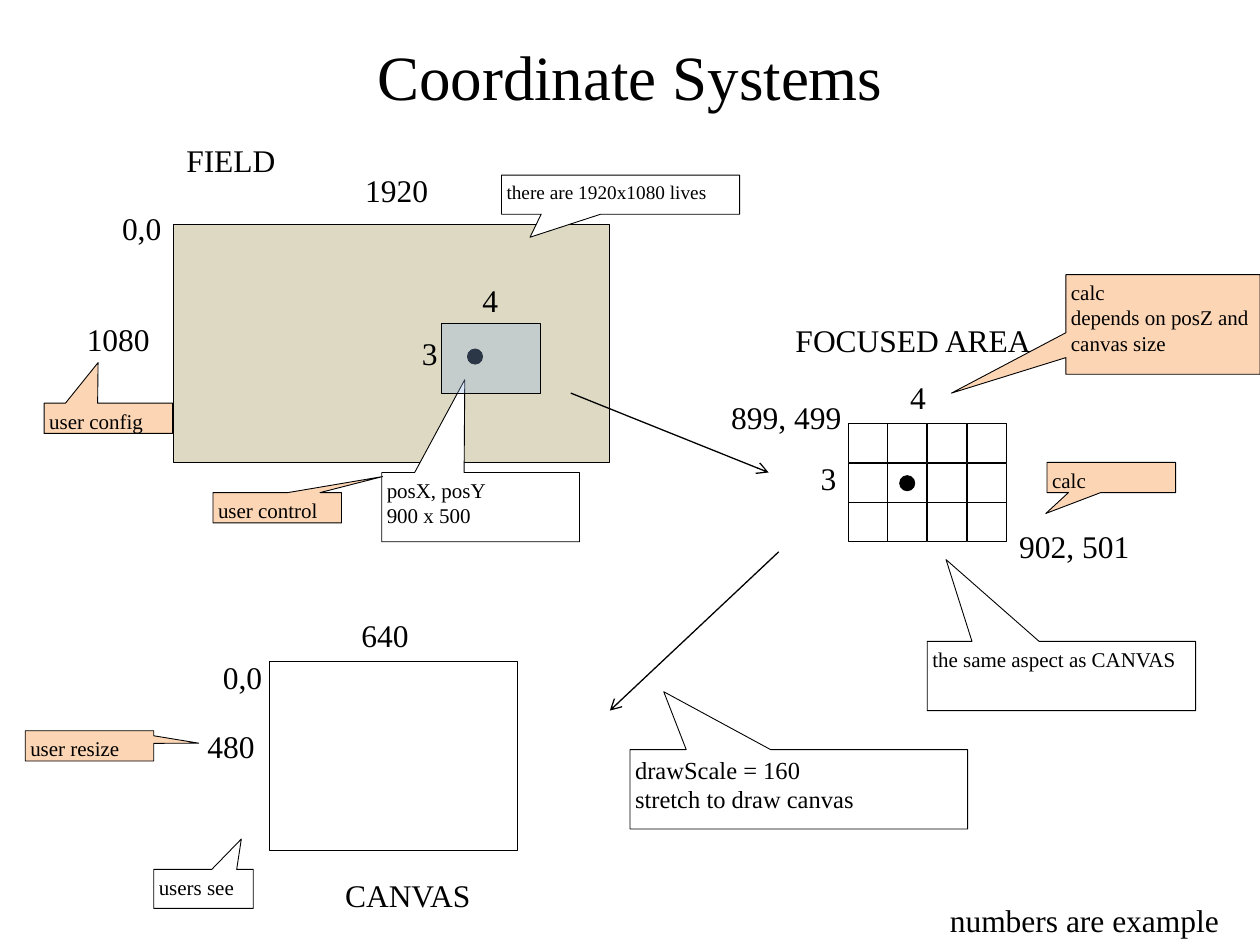
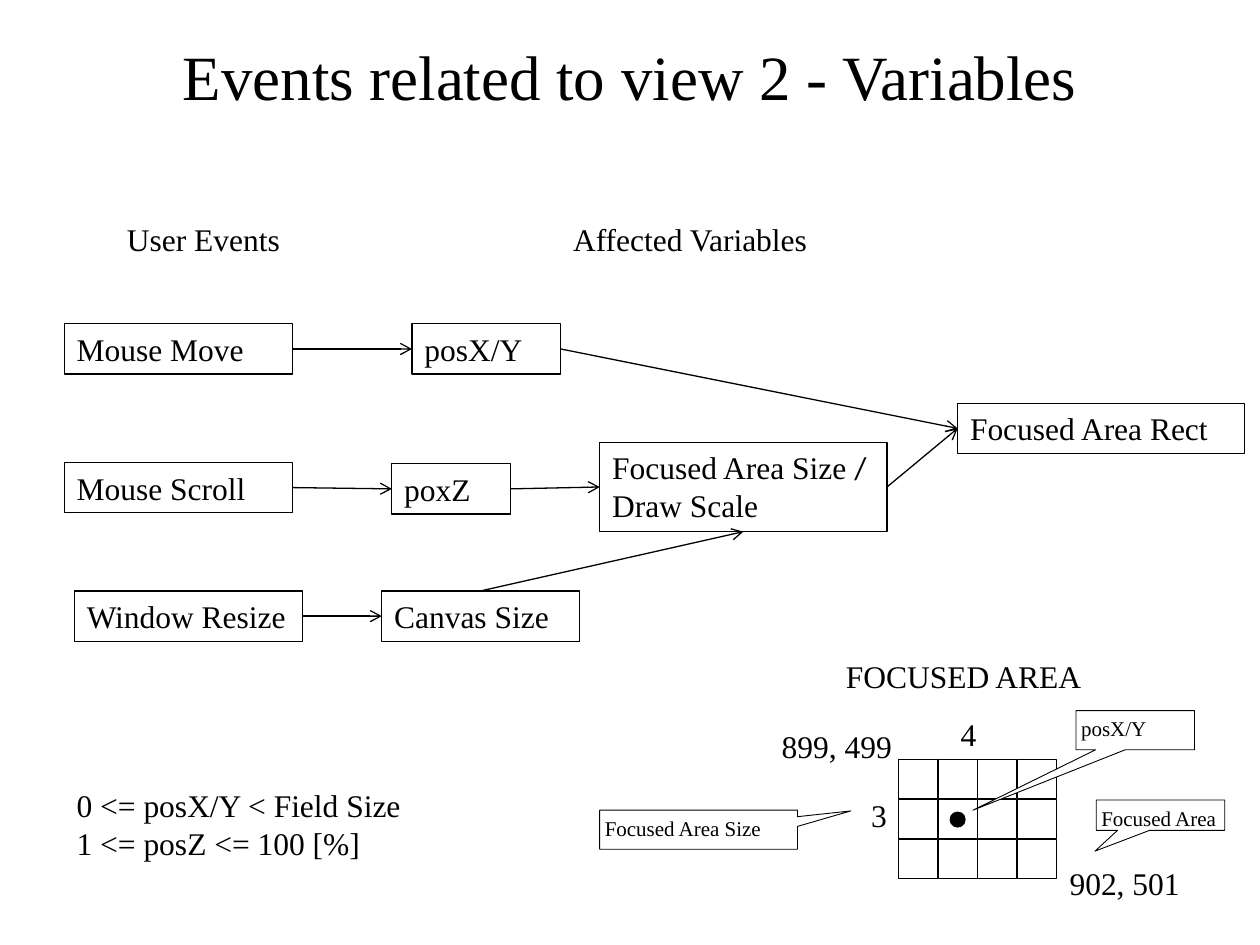
"""Build two slides that explain the coordinate systems of a zoomable field view."""
from dataclasses import dataclass
from itertools import product

from lxml.etree import SubElement
from pptx import Presentation
from pptx.dml.color import RGBColor
from pptx.enum.shapes import MSO_CONNECTOR as Connector, MSO_SHAPE as Shape
from pptx.enum.text import MSO_ANCHOR as Anchor, MSO_AUTO_SIZE as AutoSize, PP_ALIGN as Align
from pptx.oxml.ns import qn
from pptx.util import Emu, Inches, Pt

WIDTH, HEIGHT = Inches(10), Inches(7.5)
COLUMNS, ROWS = 100, 75
COLOURS = {"ink": "000000", "paper": "FFFFFF", "field": "DDD9C3", "focus": "8EB4E3", "user": "FCD5B5"}
FONT = "Times New Roman"
INSET = Inches(0.04)
LABEL_ROWS = 4
PITCH, CELL, DOT = 3.15, 3.1, 1.2
TOP, LEFT, BOTTOM, RIGHT = range(4)


@dataclass(frozen=True)
class Label:
    """Free text at a column and row, as wide as its words."""
    column: float
    row: float
    width: float
    text: str
    height: float = LABEL_ROWS
    align: Align = Align.LEFT


@dataclass(frozen=True)
class Callout:
    """A speech box with its tip given as shares of the box size."""
    area: tuple[float, float, float, float]
    tip: tuple[float, float]
    text: str
    size: float = 12
    fill: str = "paper"


@dataclass(frozen=True)
class Step:
    """An outlined box of the event flow."""
    area: tuple[float, float, float, float]
    text: str


def across(columns: float) -> Emu:
    """Turn grid columns into a length."""
    return Emu(round(WIDTH * columns / COLUMNS))


def down(rows: float) -> Emu:
    """Turn grid rows into a length."""
    return Emu(round(HEIGHT * rows / ROWS))


def place(column: float, row: float, width: float, height: float) -> tuple[Emu, Emu, Emu, Emu]:
    """Turn a grid area into left, top, width and height."""
    return across(column), down(row), across(width), down(height)


def colour(name: str) -> RGBColor:
    """Look up a named colour."""
    return RGBColor.from_string(COLOURS[name])


def write(frame, text: str, size: float, align: Align = Align.LEFT, anchor: Anchor = Anchor.TOP) -> None:
    """Fill a text frame with one paragraph a line."""
    frame.vertical_anchor = anchor
    for index, line in enumerate(text.split("\n")):
        para = frame.add_paragraph() if index else frame.paragraphs[0]
        para.add_run().text = line
        para.alignment = align
        para.font.name, para.font.size = FONT, Pt(size)
        para.font.color.rgb = colour("ink")


def add_shape(page, kind: Shape, area, fill: str | None = "paper", line: float = 0.5):
    """Draw an outlined preset shape."""
    shape = page.shapes.add_shape(kind, *place(*area))
    shape.shadow.inherit = False
    if fill:
        shape.fill.solid()
        shape.fill.fore_color.rgb = colour(fill)
    else:
        shape.fill.background()
    shape.line.color.rgb = colour("ink")
    shape.line.width = Pt(line)
    return shape


def add_label(page, label: Label) -> None:
    """Draw a label that does not wrap."""
    box = page.shapes.add_textbox(*place(label.column, label.row, label.width, label.height))
    box.text_frame.word_wrap = False
    box.text_frame.auto_size = AutoSize.SHAPE_TO_FIT_TEXT
    write(box.text_frame, label.text, 18, label.align)


def add_callout(page, callout: Callout) -> None:
    """Draw a callout with narrow margins."""
    shape = add_shape(page, Shape.RECTANGULAR_CALLOUT, callout.area, callout.fill)
    shape.adjustments[0], shape.adjustments[1] = callout.tip
    frame = shape.text_frame
    frame.word_wrap = True
    frame.margin_left = frame.margin_right = frame.margin_top = frame.margin_bottom = INSET
    write(frame, callout.text, callout.size)


def add_step(page, step: Step):
    """Draw a box of the event flow."""
    box = add_shape(page, Shape.RECTANGLE, step.area, None, 0.75)
    box.text_frame.word_wrap = True
    box.text_frame.auto_size = AutoSize.SHAPE_TO_FIT_TEXT
    write(box.text_frame, step.text, 18)
    return box


def add_arrow(page, start: tuple[float, float] = (0, 0), end: tuple[float, float] = (0, 0)):
    """Draw a straight line with an open arrowhead at its end."""
    arrow = page.shapes.add_connector(
        Connector.STRAIGHT, across(start[0]), down(start[1]), across(end[0]), down(end[1]))
    arrow.line.color.rgb = colour("ink")
    arrow.line.width = Pt(0.75)
    properties = arrow.element.spPr
    SubElement(properties.find(qn("a:ln")), qn("a:tailEnd"), type="arrow")
    SubElement(properties, qn("a:effectLst"))
    return arrow


def add_dot(page, column: float, row: float) -> None:
    """Draw the position marker."""
    add_shape(page, Shape.OVAL, (column, row, DOT, DOT), "ink")


def add_focused_area(page, column: float, row: float, corner_rise: float) -> None:
    """Draw the cell grid of the focused area with its marker and labels."""
    for line, cell in product(range(3), range(4)):
        add_shape(page, Shape.RECTANGLE, (column + cell * PITCH, row + line * PITCH, CELL, CELL))
    add_dot(page, column + 4.1, row + 4.15)
    for label in (
        Label(column - 5.15, row - 8.65, 20.9, "FOCUSED AREA"),
        Label(column + 3.95, row - 4.05, 3.3, "4"),
        Label(column - 3.15, row + 2.35, 3.3, "3"),
        Label(column - 10.25, row - corner_rise, 10.9, "899, 499"),
        Label(column + 12.6, row + 7.75, 10.9, "902, 501"),
    ):
        add_label(page, label)


def add_page(deck, title: str):
    """Add a blank slide with the shared title."""
    page = deck.slides.add_slide(deck.slide_layouts[6])
    box = page.shapes.add_textbox(*place(5, -0.3, 90, 12.5))
    box.text_frame.word_wrap = True
    write(box.text_frame, title, 36, Align.CENTER, Anchor.MIDDLE)
    return page


def build_coordinates(deck) -> None:
    """Show how field, focused area and canvas relate."""
    page = add_page(deck, "Coordinate Systems")
    add_shape(page, Shape.RECTANGLE, (13.8, 17.8, 34.6, 18.9), "field")
    add_shape(page, Shape.RECTANGLE, (21.4, 52.5, 19.7, 15))
    add_focused_area(page, 67.3, 33.6, 2.5)
    add_dot(page, 37.1, 27.7)
    add_callout(page, Callout((30.3, 37.5, 15.7, 5.5), (-0.08, -1.84), "posX, posY\n900 x 500"))
    focus = add_shape(page, Shape.RECTANGLE, (35, 25.7, 7.9, 5.5), "focus")
    tint = focus.element.spPr.find(qn("a:solidFill")).find(qn("a:srgbClr"))
    SubElement(tint, qn("a:alpha"), val="31000")
    add_arrow(page, (45.3, 31.2), (61, 37.5))
    add_arrow(page, (61.8, 43.8), (48.4, 56.4))
    for label in (
        Label(13.8, 10.7, 9.2, "FIELD"),
        Label(28, 13.1, 7.1, "1920"),
        Label(5.9, 24.9, 7.1, "1080"),
        Label(8.7, 16.1, 5.2, "0,0"),
        Label(37.3, 21.8, 3.3, "4"),
        Label(32.5, 26, 3.3, "3"),
        Label(27.7, 48.4, 5.8, "640"),
        Label(15.4, 57.2, 5.8, "480", align=Align.RIGHT),
        Label(16.7, 51.7, 5.2, "0,0"),
        Label(26.4, 69, 12.1, "CANVAS"),
        Label(74.4, 71, 23.6, "numbers are example"),
    ):
        add_label(page, label)
    for callout in (
        Callout((73.6, 50.9, 21.3, 5.5), (-0.43, -1.68), "the same aspect as CANVAS"),
        Callout((50, 59.5, 26.8, 6.3), (-0.4, -1.23), "drawScale = 160\nstretch to draw canvas", 14),
        Callout((12.2, 69, 7.9, 3.1), (0.38, -1.28), "users see"),
        Callout((39.8, 13.9, 18.9, 3.1), (-0.38, 1.09), "there are 1920x1080 lives", 11),
        Callout((3.5, 32, 10.2, 2.4), (-0.08, -1.84), "user config", fill="user"),
        Callout((2, 58, 10.2, 2.4), (0.85, -0.09), "user resize", fill="user"),
        Callout((16.9, 39.1, 10.2, 2.4), (0.82, -1.03), "user control", fill="user"),
        Callout((83.1, 36.7, 10.2, 2.4), (-0.51, 1.19), "calc", fill="user"),
        Callout((84.6, 21.8, 15.4, 7.9), (-1.09, 0.69),
                "calc\ndepends on posZ and canvas size", fill="user"),
    ):
        add_callout(page, callout)


def build_events(deck) -> None:
    """Show which variables each user event affects."""
    page = add_page(deck, "Events related to view 2 - Variables")
    steps = {
        "move": Step((5.1, 25.7, 18.1, 4), "Mouse Move"),
        "scroll": Step((5.1, 36.7, 18.1, 4), "Mouse Scroll"),
        "resize": Step((5.9, 46.9, 18.1, 4), "Window Resize"),
        "position": Step((32.7, 25.7, 11.8, 4), "posX/Y"),
        "zoom": Step((31.1, 36.8, 9.4, 4), "poxZ"),
        "canvas": Step((30.3, 46.9, 15.7, 4), "Canvas Size"),
        "size": Step((47.6, 35.1, 22.8, 7.1), "Focused Area Size \nDraw Scale"),
        "rect": Step((76, 32, 22.8, 4), "Focused Area Rect"),
    }
    boxes = {name: add_step(page, step) for name, step in steps.items()}
    slash = boxes["size"].text_frame.paragraphs[0].add_run()
    slash.text, slash.font.name = "/", "Calibri"
    for source, leave, target, enter in (
        ("move", RIGHT, "position", LEFT),
        ("scroll", RIGHT, "zoom", LEFT),
        ("resize", RIGHT, "canvas", LEFT),
        ("zoom", RIGHT, "size", LEFT),
        ("canvas", TOP, "size", BOTTOM),
        ("position", RIGHT, "rect", LEFT),
        ("size", RIGHT, "rect", LEFT),
    ):
        arrow = add_arrow(page)
        arrow.begin_connect(boxes[source], leave)
        arrow.end_connect(boxes[target], enter)
    for label in (
        Label(9.1, 17, 14.3, "User Events"),
        Label(44.5, 17, 20.8, "Affected Variables"),
        Label(5.1, 61.9, 28, "0 <= posX/Y < Field Size\n1 <= posZ <= 100 [%]", 7.1),
    ):
        add_label(page, label)
    add_focused_area(page, 71.3, 60.3, 3.1)
    for callout in (
        Callout((87, 63.5, 10.2, 2.4), (-0.51, 1.19), "Focused Area"),
        Callout((85.4, 56.4, 9.4, 3.1), (-1.37, 2.05), "posX/Y"),
        Callout((47.6, 64.3, 15.7, 3.1), (0.77, -0.48), "Focused Area Size"),
    ):
        add_callout(page, callout)


def main() -> None:
    """Build and save the deck."""
    deck = Presentation()
    deck.slide_width, deck.slide_height = WIDTH, HEIGHT
    build_coordinates(deck)
    build_events(deck)
    deck.save("out.pptx")


main()
